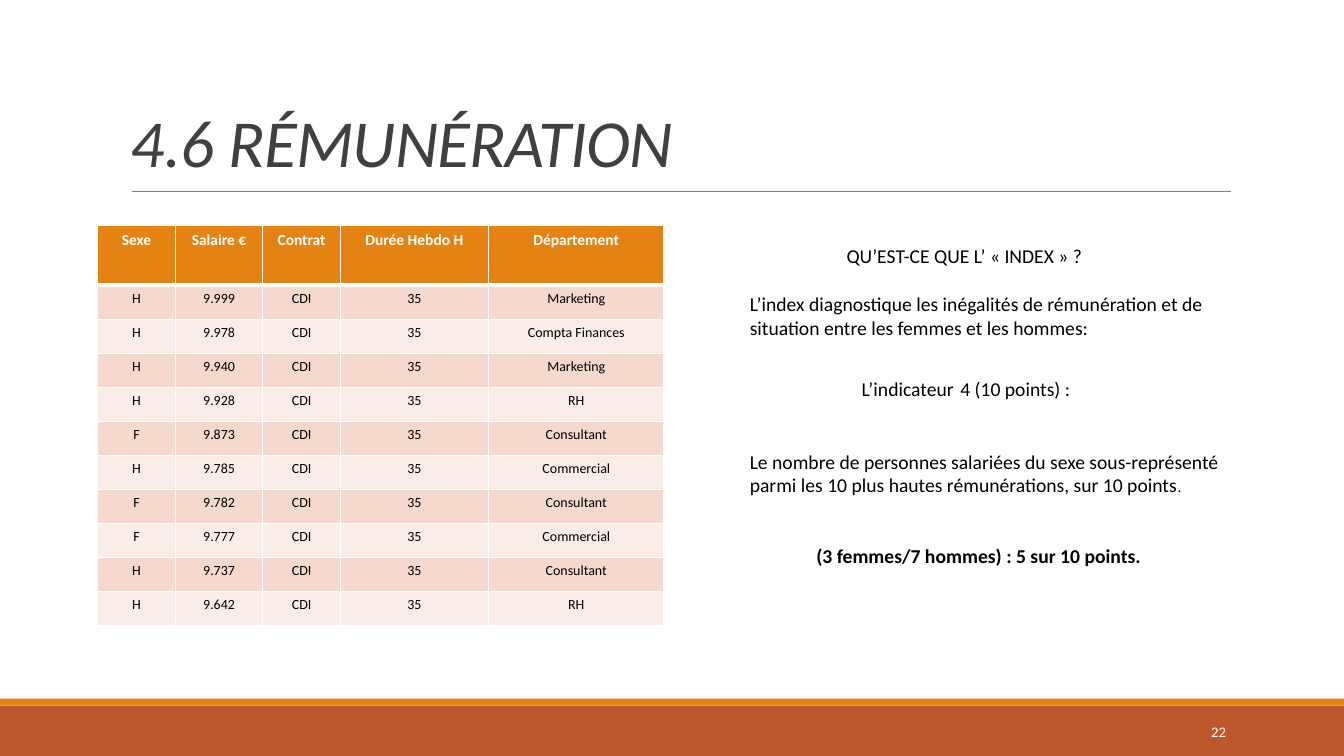
from dataclasses import dataclass

from lxml import etree
from pptx import Presentation
from pptx import util as u
from pptx.dml import color as dml
from pptx.enum import shapes, text
from pptx.oxml import ns

Pt = u.Pt
ALIGN = text.PP_ALIGN
ANCHOR = text.MSO_ANCHOR


@dataclass(frozen=True)
class Theme:
    font: str = "Calibri"
    space_font: str = "Lato"
    white: str = "FFFFFF"
    black: str = "000000"
    title: str = "404040"
    space: str = "333333"
    rule: str = "808080"
    footer: str = "BD582C"
    accent: str = "E48312"
    bands: tuple = ("F5D9CC", "FAEDE7")
    title_size: float = 48
    body_size: float = 14
    space_size: float = 18
    small_size: float = 11
    cell_size: float = 10
    number_size: float = 10.5


THEME = Theme()
HEADERS = ("Sexe", "Salaire €", "Contrat", "Durée Hebdo H", "Département")
COLUMN_WIDTHS = (55.4, 62.6, 55.4, 105.8, 125.4)
HEADER_HEIGHT, ROW_HEIGHT = 42.5, 24.3
CONTRACT, WEEKLY_HOURS = "CDI", "35"
SALARIES = (
    ("H", "9.999", "Marketing"),
    ("H", "9.978", "Compta Finances"),
    ("H", "9.940", "Marketing"),
    ("H", "9.928", "RH"),
    ("F", "9.873", "Consultant"),
    ("H", "9.785", "Commercial"),
    ("F", "9.782", "Consultant"),
    ("F", "9.777", "Commercial"),
    ("H", "9.737", "Consultant"),
    ("H", "9.642", "RH"),
)


def rgb(value):
    return dml.RGBColor.from_string(value)


def add_span(para, words, size=THEME.body_size, color=THEME.black, font=THEME.font,
             bold=False, italic=False, spacing=0):
    span = para.add_run()
    span.text = words
    span.font.name = font
    span.font.size = Pt(size)
    span.font.bold = bold
    span.font.italic = italic
    span.font.color.rgb = rgb(color)
    if spacing:
        span.font._element.set("spc", str(round(spacing * 100)))


def add_text(page, left, top, width, height, words, align=ALIGN.LEFT,
             anchor=ANCHOR.TOP, line_spacing=1.0, **style):
    box = page.shapes.add_textbox(Pt(left), Pt(top), Pt(width), Pt(height))
    frame = box.text_frame
    frame.word_wrap = True
    frame.vertical_anchor = anchor
    para = frame.paragraphs[0]
    para.alignment = align
    para.line_spacing = line_spacing
    add_span(para, words, **style)
    return para


def add_bar(page, top, height, fill):
    bar = page.shapes.add_shape(
        shapes.MSO_SHAPE.RECTANGLE, Pt(0), Pt(top), Pt(960), Pt(height))
    bar.shadow.inherit = False
    bar.fill.solid()
    bar.fill.fore_color.rgb = rgb(fill)
    bar.line.fill.background()


def add_rule(page, left, right, y):
    rule = page.shapes.add_connector(
        shapes.MSO_CONNECTOR.STRAIGHT, Pt(left), Pt(y), Pt(right), Pt(y))
    rule.line.color.rgb = rgb(THEME.rule)
    rule.line.width = Pt(0.5)
    etree.SubElement(rule._element.spPr, ns.qn("a:effectLst"))


def set_borders(cell, top, bottom):
    properties = cell._tc.get_or_add_tcPr()
    for side, width in (("L", 1), ("R", 1), ("T", top), ("B", bottom)):
        edge = etree.SubElement(properties, ns.qn(f"a:ln{side}"), w=str(int(Pt(width))))
        fill = etree.SubElement(edge, ns.qn("a:solidFill"))
        etree.SubElement(fill, ns.qn("a:srgbClr"), val=THEME.white)


def fill_cell(cell, words, fill, top=1, bottom=1, **style):
    set_borders(cell, top, bottom)
    cell.fill.solid()
    cell.fill.fore_color.rgb = rgb(fill)
    para = cell.text_frame.paragraphs[0]
    para.alignment = ALIGN.CENTER
    add_span(para, words, **style)


def add_salary_table(page, left, top):
    height = HEADER_HEIGHT + ROW_HEIGHT * len(SALARIES)
    table = page.shapes.add_table(
        len(SALARIES) + 1, len(HEADERS), Pt(left), Pt(top),
        Pt(sum(COLUMN_WIDTHS)), Pt(height)).table
    for column, width in zip(table.columns, COLUMN_WIDTHS):
        column.width = Pt(width)
    for index, row in enumerate(table.rows):
        row.height = Pt(ROW_HEIGHT if index else HEADER_HEIGHT)
    for column, words in enumerate(HEADERS):
        fill_cell(table.cell(0, column), words, THEME.accent, bottom=3,
                  size=THEME.small_size, color=THEME.white, bold=True)
    for index, (sex, salary, department) in enumerate(SALARIES):
        values = (sex, salary, CONTRACT, WEEKLY_HOURS, department)
        for column, words in enumerate(values):
            fill_cell(table.cell(index + 1, column), words, THEME.bands[index % 2],
                      top=1 if index else 3, size=THEME.cell_size)


def add_index_notes(page):
    add_text(page, 597.6, 170.6, 206.6, 24.5, "QU’EST-CE QUE L’ « INDEX » ?")
    add_text(page, 528.5, 205.2, 345.6, 41,
             "L’index diagnostique les inégalités de rémunération et de "
             "situation entre les femmes et les hommes:")
    indicator = add_text(page, 608.4, 261.4, 185, 28.8, "L’indicateur")
    add_span(indicator, " ", size=THEME.space_size, color=THEME.space,
             font=THEME.space_font)
    add_span(indicator, "4 (10 points) :")
    measure = add_text(page, 528.5, 317.5, 362.2, 41,
                       "Le nombre de personnes salariées du sexe sous-représenté "
                       "parmi les 10 plus hautes rémunérations, sur 10 points")
    add_span(measure, ".", size=THEME.small_size)
    add_text(page, 576, 385.2, 255.6, 24.5,
             "(3 femmes/7 hommes) : 5 sur 10 points.", bold=True)


def main():
    deck = Presentation()
    deck.slide_width, deck.slide_height = Pt(960), Pt(540)
    page = deck.slides.add_slide(deck.slide_layouts[6])
    add_bar(page, 504, 36, THEME.footer)
    add_bar(page, 499, 5, THEME.accent)
    add_rule(page, 94.3, 879.1, 136.6)
    add_text(page, 86.4, 18.7, 792, 114.5, "4.6 RÉMUNÉRATION",
             anchor=ANCHOR.BOTTOM, line_spacing=0.85, size=THEME.title_size,
             color=THEME.title, italic=True, spacing=-0.5)
    add_text(page, 779.8, 508.3, 103, 28.8, "22", align=ALIGN.RIGHT,
             anchor=ANCHOR.MIDDLE, size=THEME.number_size, color=THEME.white)
    add_salary_table(page, 69.8, 161.3)
    add_index_notes(page)
    deck.save("out.pptx")


if __name__ == "__main__":
    main()
